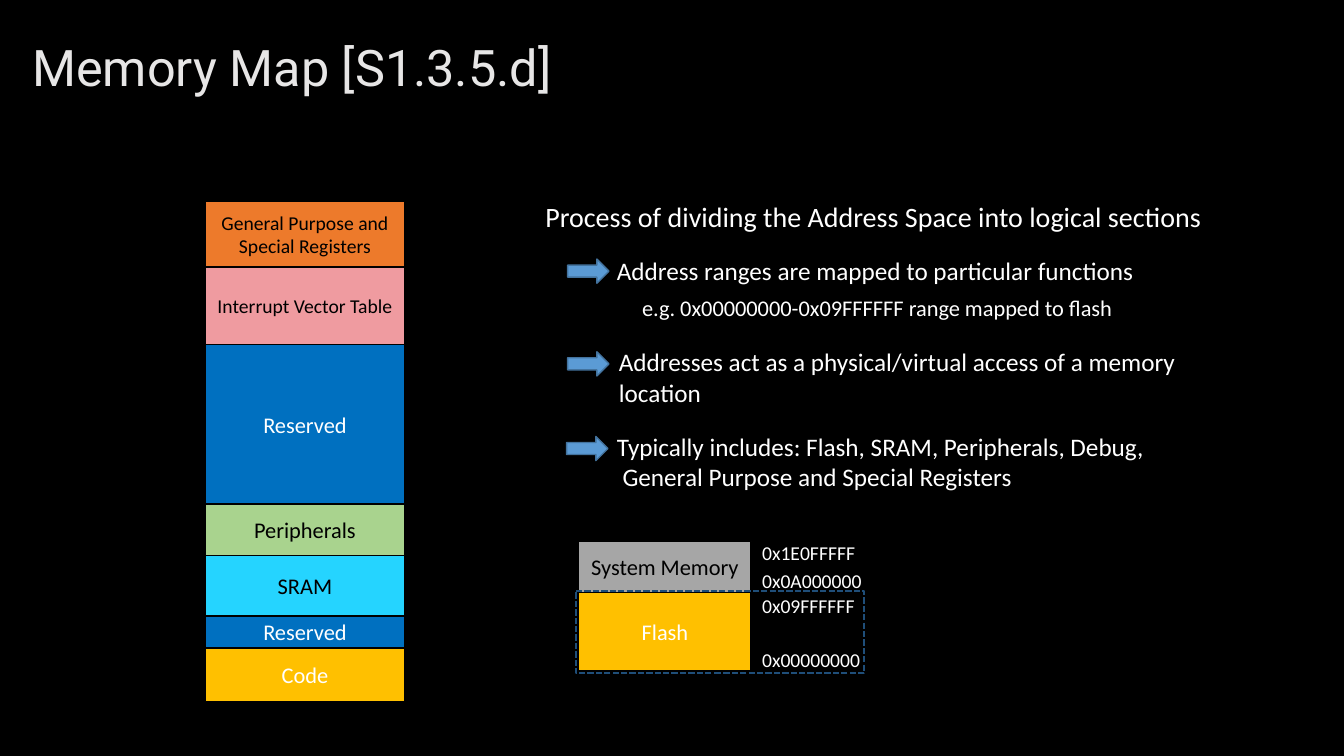
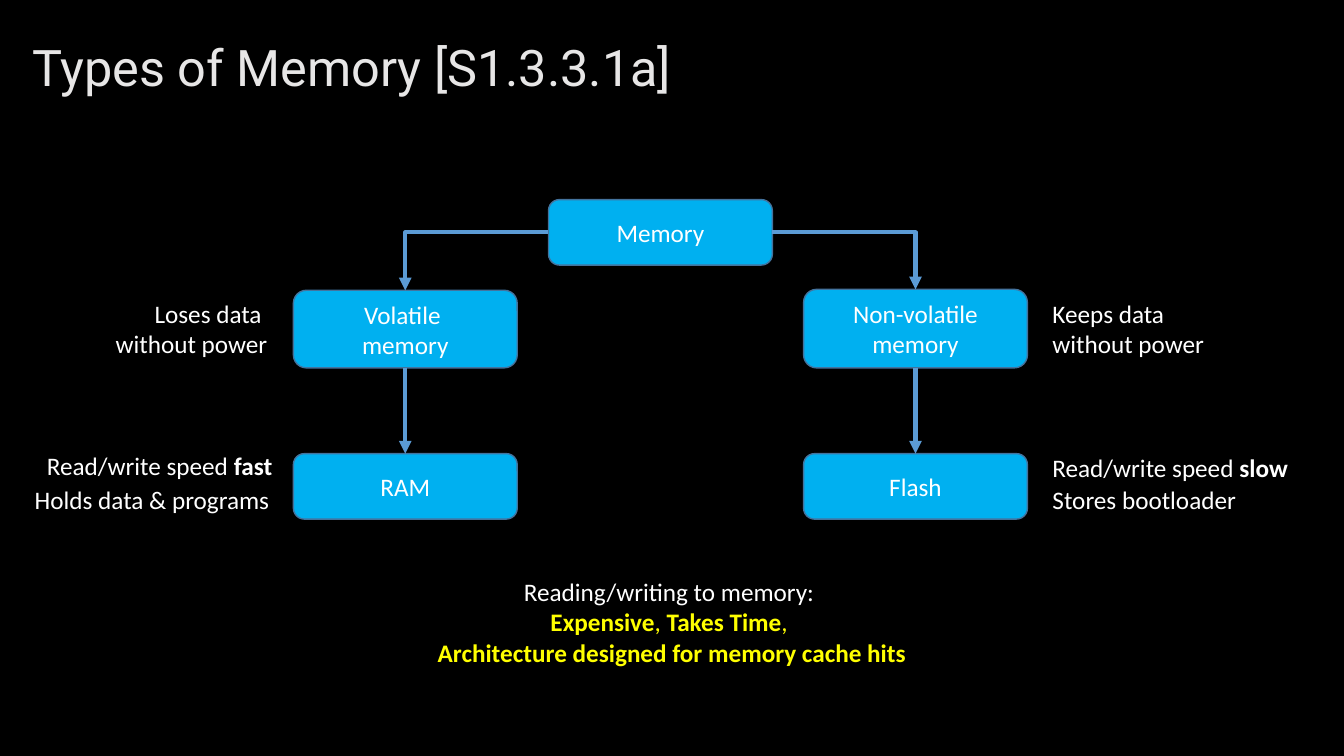
import itertools
import typing

import lxml.etree
import pptx
import pptx.dml.color
import pptx.enum.dml
import pptx.enum.shapes
import pptx.enum.text
import pptx.oxml.ns
import pptx.util

Inches = pptx.util.Inches
Pt = pptx.util.Pt
qn = pptx.oxml.ns.qn
SHAPE = pptx.enum.shapes.MSO_SHAPE
CONNECTOR = pptx.enum.shapes.MSO_CONNECTOR
ALIGN = pptx.enum.text.PP_ALIGN
AUTO_SIZE = pptx.enum.text.MSO_AUTO_SIZE
MIDDLE = pptx.enum.text.MSO_ANCHOR.MIDDLE

COLORS = {
    "background": "000000",
    "title": "E7E6E6",
    "white": "FFFFFF",
    "black": "000000",
    "highlight": "FFFF00",
    "registers": "ED7A2B",
    "vectors": "EF9BA0",
    "reserved": "0070C0",
    "peripherals": "A9D38E",
    "sram": "25D4FF",
    "code": "FFC000",
    "system": "A6A6A6",
    "frame": "1F4E79",
    "arrow": "5B9BD5",
    "outline": "43739E",
    "node": "00B0F0",
}
TITLE_FRAME = {"left": Inches(0.22), "top": Inches(0.21), "width": Inches(12.89), "height": Inches(0.97)}
TITLE_FONT = {"name": "Roboto", "size": Pt(36)}
BODY_FONT = "Calibri"

# Shape sites, counted anticlockwise from the top
TOP, LEFT, BOTTOM, RIGHT = range(4)


class Box(typing.NamedTuple):
    left: float
    top: float
    width: float
    height: float


class Run(typing.NamedTuple):
    text: str
    bold: bool = False
    color: str = "white"


class Label(typing.NamedTuple):
    box: Box
    paragraphs: list[list[Run]]
    size: int = 18
    align: typing.Any = ALIGN.LEFT
    wrap: bool = True


class Section(typing.NamedTuple):
    text: str
    height: float
    fill: str
    color: str = "black"
    size: int = 16


class Node(typing.NamedTuple):
    box: Box
    lines: list[str]


def rgb(name: str) -> pptx.dml.color.RGBColor:
    return pptx.dml.color.RGBColor.from_string(COLORS[name])


def apply(target: typing.Any, values: dict[str, typing.Any]) -> None:
    for name, value in values.items():
        setattr(target, name, value)


def plain(*lines: str, color: str = "white") -> list[list[Run]]:
    """One single-run paragraph for each line."""
    return [[Run(line, color=color)] for line in lines]


def write(tf: typing.Any, paragraphs: list[list[Run]], size: int, align: typing.Any) -> None:
    for i, runs in enumerate(paragraphs):
        p = tf.add_paragraph() if i else tf.paragraphs[0]
        p.alignment = align
        for run in runs:
            r = p.add_run()
            r.text = run.text
            apply(r.font, {"name": BODY_FONT, "size": Pt(size), "bold": run.bold})
            r.font.color.rgb = rgb(run.color)


def add_label(shapes: typing.Any, label: Label) -> None:
    tf = shapes.add_textbox(*map(Inches, label.box)).text_frame
    apply(tf, {"word_wrap": label.wrap, "auto_size": AUTO_SIZE.SHAPE_TO_FIT_TEXT})
    write(tf, label.paragraphs, label.size, label.align)


def add_shape(shapes: typing.Any, kind: typing.Any, box: Box, fill: str | None, line: str,
              weight: float = 1) -> typing.Any:
    sp = shapes.add_shape(kind, *map(Inches, box))
    sp.shadow.inherit = False
    if fill:
        sp.fill.solid()
        sp.fill.fore_color.rgb = rgb(fill)
    else:
        sp.fill.background()
    sp.line.color.rgb = rgb(line)
    sp.line.width = Pt(weight)
    return sp


def add_stack(shapes: typing.Any, left: float, top: float, width: float, sections: list[Section]) -> None:
    """Sections placed one directly below another."""
    tops = itertools.accumulate((s.height for s in sections), initial=top)
    for section, y in zip(sections, tops):
        sp = add_shape(shapes, SHAPE.RECTANGLE, Box(left, y, width, section.height), section.fill, "black")
        tf = sp.text_frame
        apply(tf, {"word_wrap": True, "vertical_anchor": MIDDLE})
        write(tf, plain(section.text, color=section.color), section.size, ALIGN.CENTER)


def add_node(shapes: typing.Any, node: Node) -> typing.Any:
    sp = add_shape(shapes, SHAPE.ROUNDED_RECTANGLE, node.box, "node", "outline")
    apply(sp.text_frame, {"word_wrap": True, "vertical_anchor": MIDDLE})
    write(sp.text_frame, plain(*node.lines), 18, ALIGN.CENTER)
    return sp


def site_point(sp: typing.Any, site: int) -> tuple[int, int]:
    x = {LEFT: 0, RIGHT: sp.width}.get(site, sp.width // 2)
    y = {TOP: 0, BOTTOM: sp.height}.get(site, sp.height // 2)
    return sp.left + x, sp.top + y


def add_arrow(shapes: typing.Any, start: typing.Any, site: int, end: typing.Any) -> None:
    """Arrow into the top of end; it has one bend when it leaves start sideways."""
    bent = site in (LEFT, RIGHT)
    kind = CONNECTOR.ELBOW if bent else CONNECTOR.STRAIGHT
    cxn = shapes.add_connector(kind, *site_point(start, site), *site_point(end, TOP))
    cxn.begin_connect(start, site)
    cxn.end_connect(end, TOP)
    cxn.line.color.rgb = rgb("arrow")
    cxn.line.width = Pt(3)
    props = cxn._element.spPr
    if bent:
        props.find(qn("a:prstGeom")).set("prst", "bentConnector2")
    lxml.etree.SubElement(props.find(qn("a:ln")), qn("a:tailEnd"), type="triangle")
    lxml.etree.SubElement(props, qn("a:effectLst"))


def add_titled_slide(prs: typing.Any, text: str) -> typing.Any:
    slide = prs.slides.add_slide(prs.slide_layouts[5])
    title = slide.shapes.title
    apply(title, TITLE_FRAME)
    tf = title.text_frame
    apply(tf, {"word_wrap": True, "auto_size": AUTO_SIZE.NONE, "vertical_anchor": MIDDLE})
    p = tf.paragraphs[0]
    apply(p, {"alignment": ALIGN.LEFT, "line_spacing": 0.9})
    r = p.add_run()
    r.text = text
    apply(r.font, TITLE_FONT)
    r.font.color.rgb = rgb("title")
    return slide


def build_memory_map(prs: typing.Any) -> None:
    shapes = add_titled_slide(prs, "Memory Map [S1.3.5.d]").shapes
    add_stack(shapes, 2.04, 2, 1.97, [
        Section("General Purpose and Special Registers", 0.65, "registers", size=14),
        Section("Interrupt Vector Table", 0.77, "vectors", size=14),
        Section("Reserved", 1.58, "reserved", "white"),
        Section("Peripherals", 0.51, "peripherals"),
        Section("SRAM", 0.6, "sram"),
        Section("Reserved", 0.32, "reserved", "white"),
        Section("Code", 0.53, "code", "white"),
    ])

    for label in (
        Label(Box(5.31, 1.93, 6.89, 0.44),
              plain("Process of dividing the Address Space into logical sections"), 20),
        Label(Box(6.02, 2.48, 6.03, 0.4), plain("Address ranges are mapped to particular functions")),
        Label(Box(6.27, 2.87, 5.14, 0.37), plain("e.g. 0x00000000-0x09FFFFFF range mapped to flash"), 16),
        Label(Box(6.04, 3.39, 5.91, 0.71),
              plain("Addresses act as a physical/virtual access of a memory location")),
        Label(Box(6.02, 4.23, 5.91, 0.71),
              plain("Typically includes: Flash, SRAM, Peripherals, Debug,",
                    " General Purpose and Special Registers")),
    ):
        add_label(shapes, label)
    for left, top in ((5.63, 2.57), (5.63, 3.49), (5.62, 4.33)):
        add_shape(shapes, SHAPE.RIGHT_ARROW, Box(left, top, 0.41, 0.24), "arrow", "outline")

    group = shapes.add_group_shape().shapes
    add_stack(group, 5.74, 5.37, 1.71, [
        Section("System Memory", 0.51, "system"),
        Section("Flash", 0.77, "code", "white"),
    ])
    for address, top in (("0x1E0FFFFF", 5.32), ("0x0A000000", 5.59), ("0x09FFFFFF", 5.84), ("0x00000000", 6.38)):
        add_label(group, Label(Box(7.46, top, 1.19, 0.34), plain(address), 14, wrap=False))
    frame = add_shape(shapes, SHAPE.RECTANGLE, Box(5.71, 5.86, 2.86, 0.82), None, "frame", 1.5)
    frame.line.dash_style = pptx.enum.dml.MSO_LINE.SQUARE_DOT


def build_memory_types(prs: typing.Any) -> None:
    shapes = add_titled_slide(prs, "Types of Memory [S1.3.3.1a]").shapes
    volatile_x, other_x, width = 2.91, 7.97, 2.22
    memory, volatile, non_volatile, ram, flash = [add_node(shapes, node) for node in (
        Node(Box(5.44, 1.98, width, 0.65), ["Memory"]),
        Node(Box(volatile_x, 2.88, width, 0.77), ["Volatile ", "memory"]),
        Node(Box(other_x, 2.87, width, 0.78), ["Non-volatile", "memory"]),
        Node(Box(volatile_x, 4.5, width, 0.65), ["RAM"]),
        Node(Box(other_x, 4.5, width, 0.65), ["Flash"]),
    )]
    for start, site, end in (
        (memory, LEFT, volatile),
        (memory, RIGHT, non_volatile),
        (volatile, BOTTOM, ram),
        (non_volatile, BOTTOM, flash),
    ):
        add_arrow(shapes, start, site, end)

    speed = "Read/write speed "
    for label in (
        Label(Box(1, 2.91, 1.75, 0.71), plain("Loses data ", "without power"), align=ALIGN.RIGHT),
        Label(Box(0.33, 4.42, 2.47, 0.4), [[Run(speed), Run("fast", True)]], align=ALIGN.RIGHT),
        Label(Box(0.21, 4.76, 2.56, 0.4), plain("Holds data & programs"), align=ALIGN.RIGHT),
        Label(Box(10.34, 2.91, 1.75, 0.71), plain("Keeps data without power")),
        Label(Box(10.34, 4.44, 2.57, 0.4), [[Run(speed), Run("slow", True)]]),
        Label(Box(10.34, 4.76, 2.11, 0.4), plain("Stores bootloader")),
        Label(Box(3.05, 5.67, 7.23, 1.01), [
            [Run("Reading/writing to memory: ")],
            [Run("Expensive", True, "highlight"), Run(", ", False, "highlight"),
             Run("Takes Time", True, "highlight"), Run(", ", False, "highlight")],
            [Run("Architecture designed for memory cache hits", True, "highlight")],
        ], align=ALIGN.CENTER),
    ):
        add_label(shapes, label)


def main() -> None:
    prs = pptx.Presentation()
    apply(prs, {"slide_width": Inches(13.33), "slide_height": Inches(7.5)})
    fill = prs.slide_master.background.fill
    fill.solid()
    fill.fore_color.rgb = rgb("background")
    build_memory_map(prs)
    build_memory_types(prs)
    prs.save("out.pptx")


if __name__ == "__main__":
    main()
